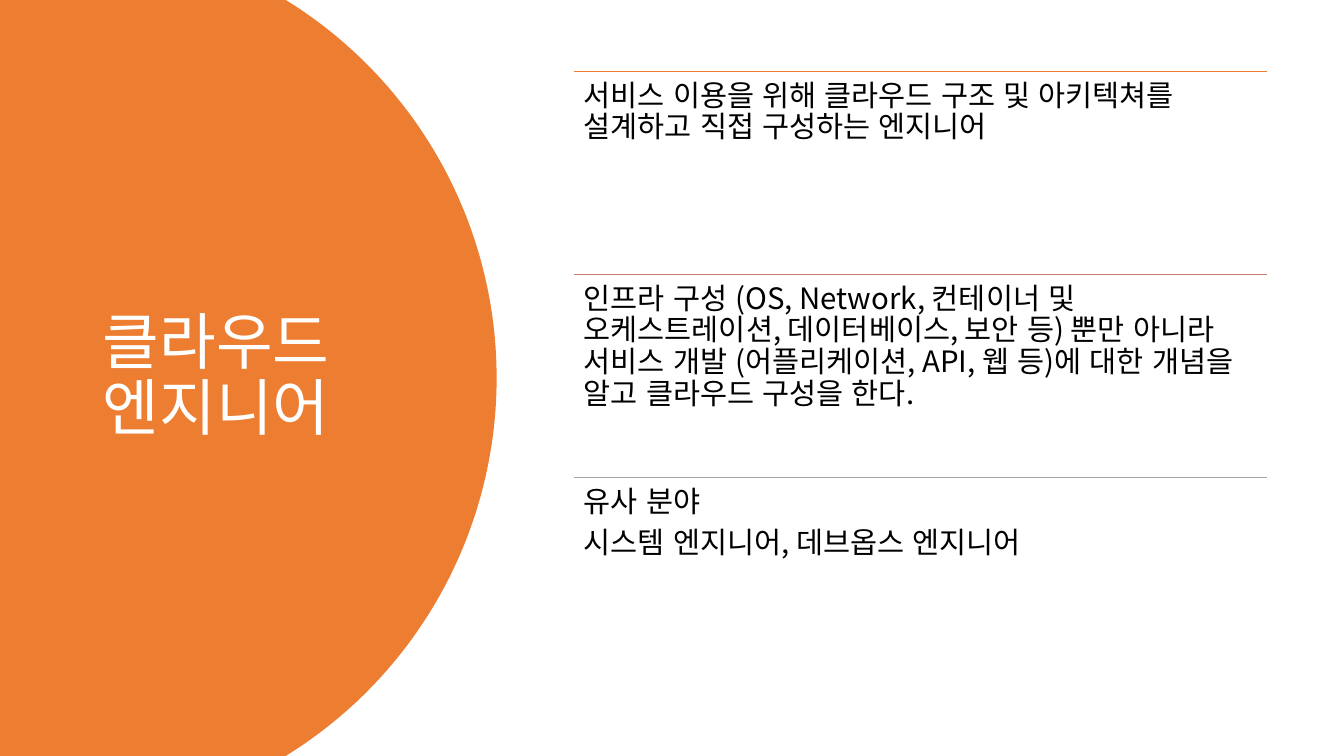
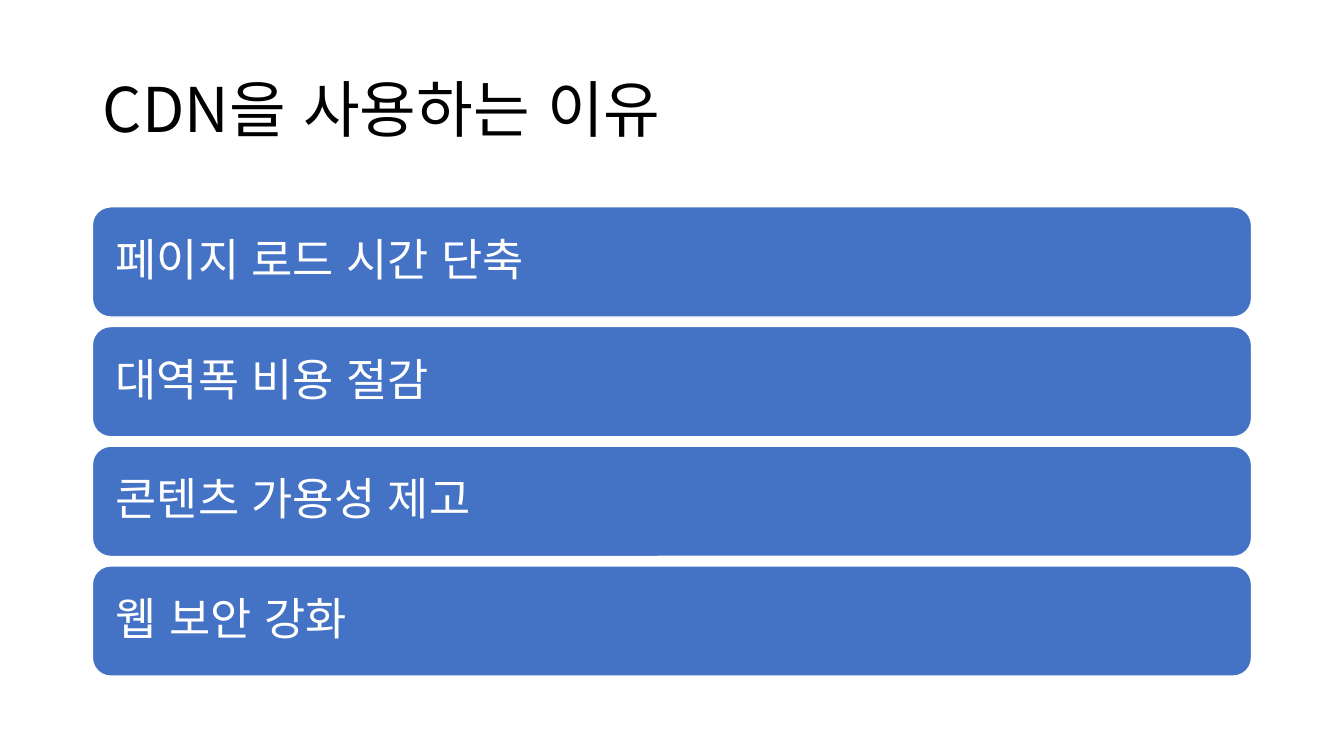
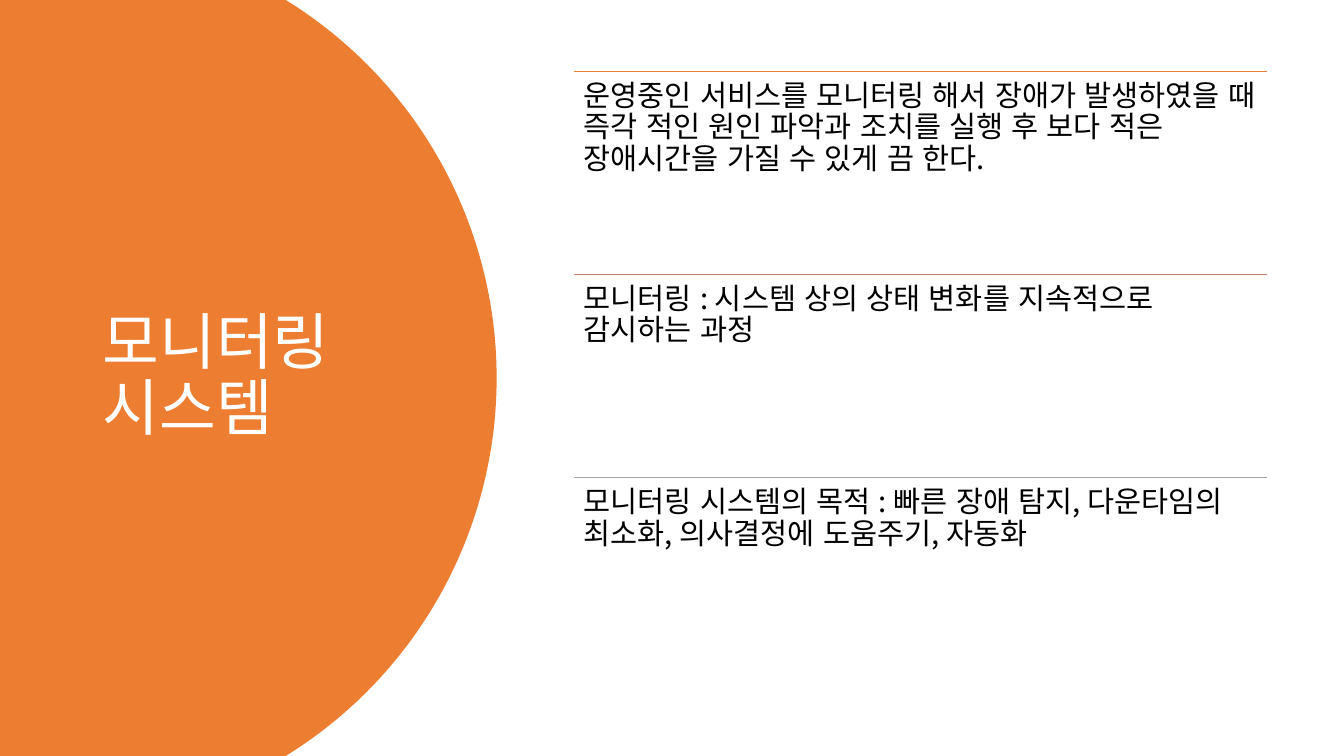
import math
from lxml import etree
from pptx import Presentation
from pptx.dml.color import RGBColor
from pptx.enum.lang import MSO_LANGUAGE_ID
from pptx.enum.shapes import MSO_CONNECTOR, MSO_SHAPE
from pptx.enum.text import MSO_ANCHOR, MSO_AUTO_SIZE, PP_ALIGN
from pptx.oxml.ns import qn
from pptx.util import Emu, Pt

KOREAN = MSO_LANGUAGE_ID.KOREAN
STRAIGHT = MSO_CONNECTOR.STRAIGHT
ROUNDED = MSO_SHAPE.ROUNDED_RECTANGLE
TOP, MIDDLE = MSO_ANCHOR.TOP, MSO_ANCHOR.MIDDLE
NO_FIT = MSO_AUTO_SIZE.NONE
LEFT = PP_ALIGN.LEFT

FONT = "Noto Sans CJK KR"
WHITE, BLACK = "FFFFFF", "000000"
ORANGE, BLUE = "ED7D31", "4472C4"
RULE_COLORS = [ORANGE, "C48170", "A5A5A5"]

SLIDE_W, SLIDE_H = 1280, 720
SIDE_TITLE = (88, 67, 310, 585)
TOP_TITLE = (88, 38, 1104, 139)
DISC_RIGHT, DISC_RADIUS, DISC_STEPS = 473, 423, 120
RULES_LEFT, RULES_TOP, RULES_W, RULES_H = 547, 68, 660, 580
BARS_LEFT, BARS_TOP, BARS_W, BAR_H, BAR_GAP = 88, 197, 1104, 105, 9

ENGINEER = ("클라우드 엔지니어", [
    ["서비스 이용을 위해 클라우드 구조 및 아키텍쳐를 설계하고 직접 구성하는 엔지니어"],
    ["인프라 구성 (OS, Network, 컨테이너 및 오케스트레이션, 데이터베이스, 보안 등) 뿐만 아니라 "
     "서비스 개발 (어플리케이션, API, 웹 등)에 대한 개념을 알고 클라우드 구성을 한다."],
    ["유사 분야", "시스템 엔지니어, 데브옵스 엔지니어"],
])
CDN = ("CDN을 사용하는 이유", [
    "페이지 로드 시간 단축", "대역폭 비용 절감", "콘텐츠 가용성 제고", "웹 보안 강화",
])
MONITORING = ("모니터링 시스템", [
    ["운영중인 서비스를 모니터링 해서 장애가 발생하였을 때 즉각 적인 원인 파악과 조치를 "
     "실행 후 보다 적은 장애시간을 가질 수 있게 끔 한다."],
    ["모니터링 : 시스템 상의 상태 변화를 지속적으로 감시하는 과정"],
    ["모니터링 시스템의 목적 : 빠른 장애 탐지, 다운타임의 최소화, 의사결정에 도움주기, 자동화"],
])


def px(n):
    return Emu(round(n * 9525))


def rgb(color):
    return RGBColor.from_string(color)


def write(sp, lines, size=21, color=BLACK, anchor=TOP, inset=(9, 9), after=0):
    tf = sp.text_frame
    tf.word_wrap = True
    tf.auto_size = NO_FIT
    tf.vertical_anchor = anchor
    tf.margin_left = tf.margin_right = px(inset[0])
    tf.margin_top = tf.margin_bottom = px(inset[1])
    for i, line in enumerate(lines):
        p = tf.add_paragraph() if i else tf.paragraphs[0]
        p.alignment = LEFT
        p.line_spacing = 0.9
        p.space_before = Pt(0)
        p.space_after = Pt(after)
        r = p.add_run()
        r.text = line
        r.font.size = Pt(size)
        r.font.name = FONT
        r.font.color.rgb = rgb(color)
        r.font.language_id = KOREAN
        ea = etree.SubElement(r.font._element, qn("a:ea"))
        ea.set("typeface", FONT)


def add_slide(prs, title, box, color):
    s = prs.slides.add_slide(prs.slide_layouts[5])
    sp = s.shapes.title
    sp.left, sp.top, sp.width, sp.height = map(px, box)
    write(sp, [title], size=44, color=color, anchor=MIDDLE, inset=(10, 5))
    return s


def add_disc(s):
    cx, cy = DISC_RIGHT - DISC_RADIUS, SLIDE_H / 2
    limit = math.asin(cy / DISC_RADIUS)
    angles = [limit * (2 * i / DISC_STEPS - 1) for i in range(DISC_STEPS + 1)]
    arc = [(px(cx + DISC_RADIUS * math.cos(a)), px(cy + DISC_RADIUS * math.sin(a)))
           for a in angles]
    builder = s.shapes.build_freeform(0, 0)
    builder.add_line_segments(arc + [(0, px(SLIDE_H))], close=True)
    sp = builder.convert_to_shape()
    sp.shadow.inherit = False
    sp.fill.solid()
    sp.fill.fore_color.rgb = rgb(ORANGE)
    sp.line.fill.background()
    s.shapes.title._element.addprevious(sp._element)


def add_rule(s, y, color):
    line = s.shapes.add_connector(STRAIGHT, px(RULES_LEFT), px(y), px(RULES_LEFT + RULES_W), px(y))
    line.line.color.rgb = rgb(color)
    line.line.width = Pt(1)
    etree.SubElement(line._element.spPr, qn("a:effectLst"))


def disc_slide(prs, title, sections):
    s = add_slide(prs, title, SIDE_TITLE, WHITE)
    add_disc(s)
    row_h = RULES_H / len(sections)
    for i, (lines, color) in enumerate(zip(sections, RULE_COLORS)):
        y = RULES_TOP + i * row_h
        add_rule(s, y, color)
        sp = s.shapes.add_textbox(px(RULES_LEFT), px(y), px(RULES_W), px(row_h))
        write(sp, lines, after=7)


def bar_slide(prs, title, reasons):
    s = add_slide(prs, title, TOP_TITLE, BLACK)
    for i, reason in enumerate(reasons):
        y = BARS_TOP + i * (BAR_H + BAR_GAP)
        sp = s.shapes.add_shape(ROUNDED, px(BARS_LEFT), px(y), px(BARS_W), px(BAR_H))
        sp.shadow.inherit = False
        sp.fill.solid()
        sp.fill.fore_color.rgb = rgb(BLUE)
        sp.line.color.rgb = rgb(WHITE)
        sp.line.width = Pt(1)
        write(sp, [reason], size=32, color=WHITE, anchor=MIDDLE, inset=(17, 12))


def main():
    prs = Presentation()
    prs.slide_width, prs.slide_height = px(SLIDE_W), px(SLIDE_H)
    disc_slide(prs, *ENGINEER)
    bar_slide(prs, *CDN)
    disc_slide(prs, *MONITORING)
    prs.save("out.pptx")


if __name__ == "__main__":
    main()
